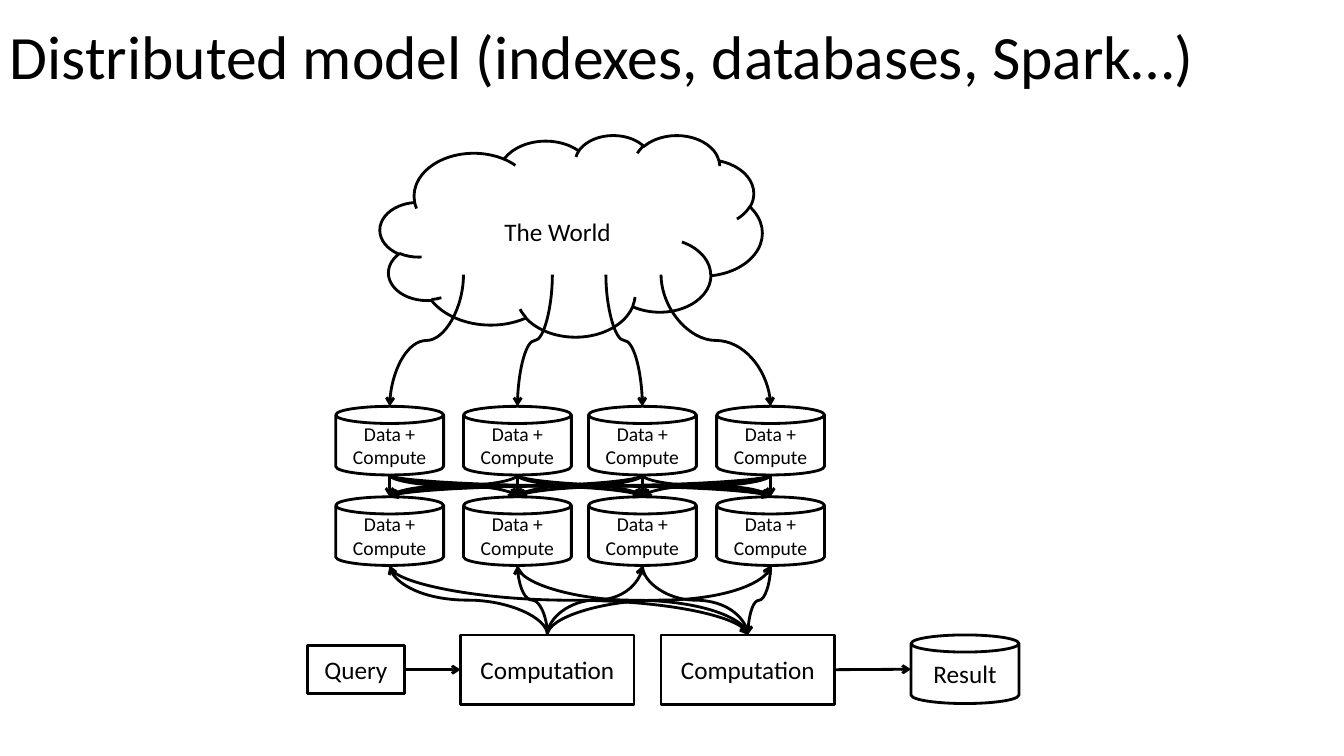
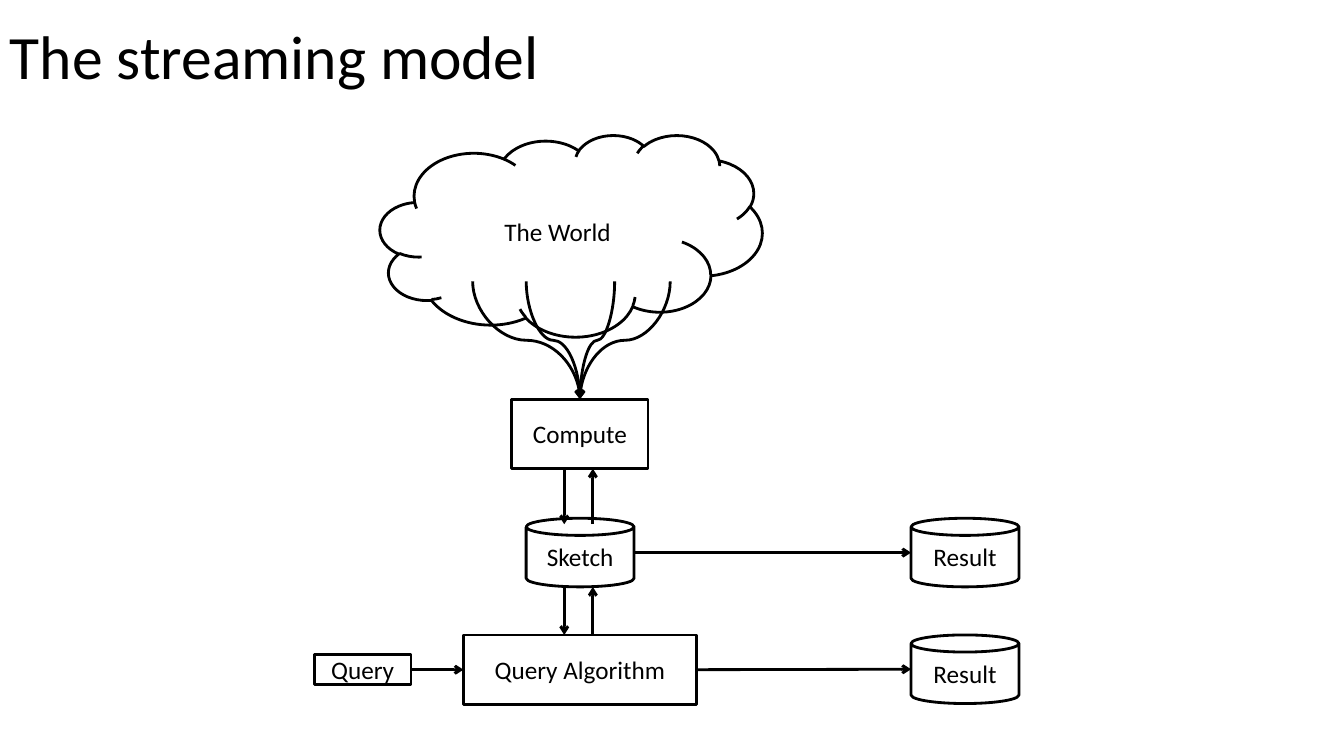
from dataclasses import dataclass
from itertools import product
from typing import Optional

from lxml.etree import SubElement
from pptx import Presentation
from pptx.dml.color import RGBColor
from pptx.enum.shapes import MSO_CONNECTOR as Link, MSO_SHAPE as Preset
from pptx.enum.text import MSO_ANCHOR as Anchor, PP_ALIGN as Align
from pptx.oxml.ns import qn
from pptx.util import Cm, Pt

# Shared style
FONT = "Calibri"
INK, PAPER = "000000", "FFFFFF"
LINE_WIDTH = Pt(2)
SLIDE_W, SLIDE_H = 33.87, 19.05
TITLE_H = 3.0

# Shared layout, in centimetres
CAN_W, CAN_H = 2.72, 1.73
BOX_H = 1.75
QUERY_W = 2.44
BOTTOM_ROW = 16.0
BOTTOM_AXIS = BOTTOM_ROW + BOX_H / 2
RESULT_X = 22.96

# Connection sites of each preset, by side
SITES = {
    Preset.CAN: {"top": 1, "left": 2, "bottom": 3, "right": 4},
    Preset.RECTANGLE: {"top": 0, "left": 1, "bottom": 2, "right": 3},
}


@dataclass
class End:
    """End of an arrow: a free point, or a site on a drawn node."""
    x: float
    y: float
    shape_id: Optional[int] = None
    site: int = 0


@dataclass
class Node:
    lines: tuple
    x: float
    y: float
    w: float = CAN_W
    h: float = CAN_H
    preset: Preset = Preset.CAN
    size: int = 18
    shape_id: Optional[int] = None

    def end(self, side: str) -> End:
        x, y = {
            "top": (self.x + self.w / 2, self.y),
            "bottom": (self.x + self.w / 2, self.y + self.h),
            "left": (self.x, self.y + self.h / 2),
            "right": (self.x + self.w, self.y + self.h / 2),
        }[side]
        return End(x, y, self.shape_id, SITES[self.preset][side])


def color(hex_code: str) -> RGBColor:
    return RGBColor.from_string(hex_code)


def add_run(paragraph, text: str, size: int) -> None:
    run = paragraph.add_run()
    run.text = text
    run.font.name = FONT
    run.font.size = Pt(size)
    run.font.color.rgb = color(INK)


def add_title(slide, text: str) -> None:
    box = slide.shapes.add_textbox(Cm(0), Cm(0), Cm(SLIDE_W), Cm(TITLE_H))
    frame = box.text_frame
    frame.word_wrap = True
    frame.vertical_anchor = Anchor.MIDDLE
    frame.paragraphs[0].line_spacing = 0.9
    add_run(frame.paragraphs[0], text, 44)


def draw_node(slide, node: Node) -> Node:
    shape = slide.shapes.add_shape(
        node.preset, Cm(node.x), Cm(node.y), Cm(node.w), Cm(node.h))
    shape.shadow.inherit = False
    if node.preset == Preset.CAN:
        shape.fill.solid()
        shape.fill.fore_color.rgb = color(PAPER)
    else:
        shape.fill.background()
    shape.line.color.rgb = color(INK)
    shape.line.width = LINE_WIDTH
    frame = shape.text_frame
    frame.word_wrap = True
    frame.vertical_anchor = Anchor.MIDDLE
    for index, text in enumerate(node.lines):
        paragraph = frame.add_paragraph() if index else frame.paragraphs[0]
        paragraph.alignment = Align.CENTER
        add_run(paragraph, text, node.size)
    node.shape_id = shape.shape_id
    return node


def draw_arrow(slide, start: End, stop: End) -> None:
    """Straight where the ends line up, else an S-curve that leaves vertically."""
    dx, dy = stop.x - start.x, stop.y - start.y
    if min(abs(dx), abs(dy)) < 0.05:
        arrow = slide.shapes.add_connector(
            Link.STRAIGHT, Cm(start.x), Cm(start.y), Cm(stop.x), Cm(stop.y))
    else:
        # The preset runs sideways, so it is laid out lying and then turned
        left = (start.x + stop.x - abs(dy)) / 2
        top = (start.y + stop.y - abs(dx)) / 2
        arrow = slide.shapes.add_connector(
            Link.CURVE, Cm(left), Cm(top), Cm(left + abs(dy)), Cm(top + abs(dx)))
        xfrm = arrow._element.spPr.find(qn("a:xfrm"))
        xfrm.set("rot", str((90 if dx * dy < 0 else 270) * 60000))
        xfrm.set("flipH", str(int(dx > 0)))
        xfrm.set("flipV", str(int(dy < 0)))
    arrow.line.color.rgb = color(INK)
    arrow.line.width = LINE_WIDTH
    properties = arrow._element.spPr
    SubElement(properties.find(qn("a:ln")), qn("a:tailEnd"), type="arrow")
    SubElement(properties, qn("a:effectLst"))
    # Glue the ends that sit on a node
    glue = next(arrow._element.iter(qn("p:cNvCxnSpPr")))
    for tag, end in (("a:stCxn", start), ("a:endCxn", stop)):
        if end.shape_id is not None:
            SubElement(glue, qn(tag), id=str(end.shape_id), idx=str(end.site))


def add_box(slide, text: str, x: float, y: float, w: float, h: float = BOX_H) -> Node:
    return draw_node(slide, Node((text,), x, y, w, h, Preset.RECTANGLE))


def add_can(slide, text: str, x: float, y: float) -> Node:
    return draw_node(slide, Node((text,), x, y))


def add_world(slide) -> None:
    draw_node(slide, Node(("The World",), 9.58, 3.4, 9.63, 5.08, Preset.CLOUD))


def start_slide(deck, title: str):
    slide = deck.slides.add_slide(deck.slide_layouts[6])
    add_title(slide, title)
    add_world(slide)
    return slide


def distributed_slide(deck) -> None:
    slide = start_slide(deck, "Distributed model (indexes, databases, Spark…)")

    # Two rows of workers
    columns = (8.46, 11.68, 14.83, 18.06)
    upper, lower = (
        [draw_node(slide, Node(("Data +", "Compute"), x, y, size=14)) for x in columns]
        for y in (10.24, 12.52))

    # Query, computations and result
    query = add_box(slide, "Query", 7.75, BOTTOM_AXIS - 0.61, QUERY_W, 1.22)
    scatter = add_box(slide, "Computation", 11.61, BOTTOM_ROW, 4.37)
    gather = add_box(slide, "Computation", 16.66, BOTTOM_ROW, 4.37)
    result = add_can(slide, "Result", RESULT_X, BOTTOM_ROW)

    # World feeds the upper row, which exchanges with the lower row
    for x, worker in zip((11.68, 13.92, 15.27, 16.66), upper):
        draw_arrow(slide, End(x, 6.92), worker.end("top"))
    for sender, receiver in product(upper, lower):
        draw_arrow(slide, sender.end("bottom"), receiver.end("top"))

    # Query goes out to the lower row and its answers are gathered
    for worker in lower:
        draw_arrow(slide, scatter.end("top"), worker.end("bottom"))
        draw_arrow(slide, worker.end("bottom"), gather.end("top"))
    draw_arrow(slide, query.end("right"), scatter.end("left"))
    draw_arrow(slide, gather.end("right"), result.end("left"))


def streaming_slide(deck) -> None:
    slide = start_slide(deck, "The streaming model")

    # Processing column
    compute = add_box(slide, "Compute", 12.9, 10.06, 3.43)
    sketch = add_can(slide, "Sketch", 13.26, 13.06)
    algorithm = add_box(slide, "Query Algorithm", 11.68, BOTTOM_ROW, 5.87)

    # Query and results
    query = add_box(slide, "Query", 7.92, BOTTOM_AXIS - 0.38, QUERY_W, 0.76)
    sketch_result = add_can(slide, "Result", RESULT_X, sketch.y)
    query_result = add_can(slide, "Result", RESULT_X, BOTTOM_ROW)

    # World streams into the compute step
    for x in (11.91, 13.26, 15.49, 16.89):
        draw_arrow(slide, End(x, 7.09), compute.end("top"))

    # Two-way traffic down the column
    down, up = 14.22, 14.94
    for above, below in ((11.81, 13.21), (14.79, BOTTOM_ROW)):
        draw_arrow(slide, End(down, above), End(down, below))
        draw_arrow(slide, End(up, below), End(up, above))

    # Sideways flow
    for source, target in ((query, algorithm), (algorithm, query_result),
                           (sketch, sketch_result)):
        draw_arrow(slide, source.end("right"), target.end("left"))


def main() -> None:
    deck = Presentation()
    deck.slide_width, deck.slide_height = Cm(SLIDE_W), Cm(SLIDE_H)
    distributed_slide(deck)
    streaming_slide(deck)
    deck.save("out.pptx")


if __name__ == "__main__":
    main()
